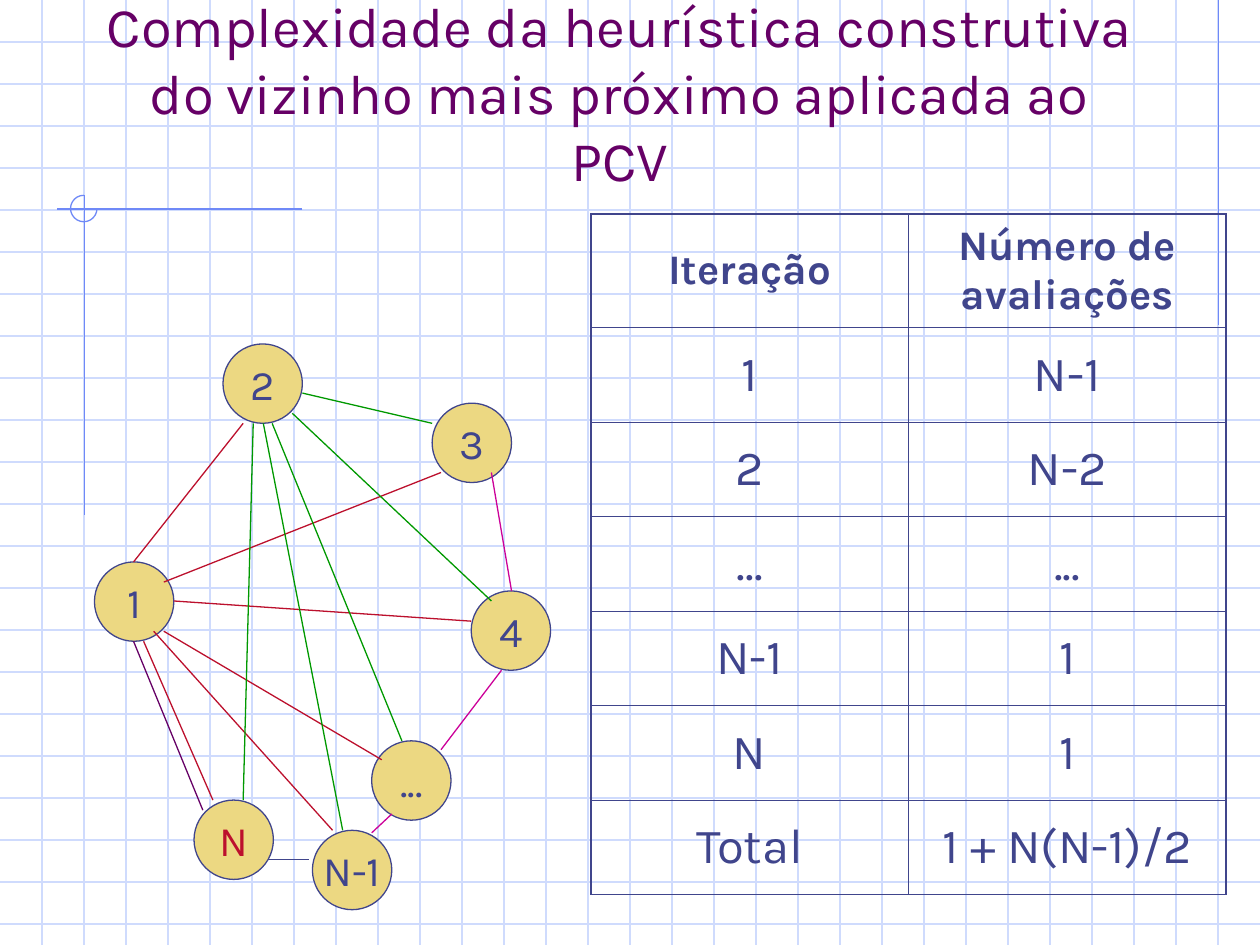
from lxml.etree import SubElement
from pptx import Presentation
from pptx.dml.color import RGBColor
from pptx.enum.shapes import MSO_CONNECTOR, MSO_SHAPE
from pptx.enum.text import MSO_ANCHOR, PP_ALIGN
from pptx.oxml.ns import qn
from pptx.util import Inches, Pt

FONT = "Karla"
INK, PURPLE, RED, GREEN, PINK = "40458C", "660066", "BC102D", "009900", "CC0099"
GRID, ACCENT, GOLD = "CFDBFD", "6F89F7", "ECD882"
WIDTH, HEIGHT = 10, 7.5
CELLS_PER_INCH = 3
NODE_SIZE = 0.63

NODES = [
    ("1", 0.75, 4.46, INK), ("2", 1.77, 2.73, INK), ("3", 3.43, 3.2, INK),
    ("4", 3.74, 4.69, INK), ("...", 2.95, 5.88, INK), ("N", 1.54, 6.35, RED),
    ("N-1", 2.48, 6.59, INK),
]
EDGES = {
    RED: [(1.3, 4.62, 3.5, 3.75), (1.38, 4.77, 3.74, 4.93), (1.3, 5.01, 3.03, 6.03),
          (1.14, 5.09, 1.69, 6.35), (1.06, 4.46, 1.93, 3.36), (2.64, 6.59, 1.22, 5.01)],
    GREEN: [(2.4, 3.12, 3.43, 3.36), (2.32, 3.28, 3.9, 4.77), (2.16, 3.36, 3.19, 5.88),
            (2.01, 3.36, 1.93, 6.35), (2.72, 6.59, 2.09, 3.36)],
    PURPLE: [(1.61, 6.43, 1.06, 5.09)],
    PINK: [(3.9, 3.75, 4.06, 4.69), (3.98, 5.32, 3.5, 5.95), (3.11, 6.46, 2.95, 6.61)],
    INK: [(2.45, 6.82, 2.13, 6.82)],
}
EVALUATIONS = [
    ("Iteração", "Número de avaliações"), ("1", "N-1"), ("2", "N-2"), ("...", "..."),
    ("N-1", "1"), ("N", "1"), ("Total", "1 + N(N-1)/2"),
]


def rgb(color):
    """Turn a hex string into a colour."""
    return RGBColor.from_string(color)


def write(frame, text, size, color, bold=False):
    """Write one centred paragraph into a text frame."""
    paragraph = frame.paragraphs[0]
    paragraph.text = text
    paragraph.alignment = PP_ALIGN.CENTER
    font = paragraph.font
    font.name, font.size, font.bold = FONT, Pt(size), bold
    font.color.rgb = rgb(color)


def add_line(slide, ends, color):
    """Draw a thin straight line between two points."""
    line = slide.shapes.add_connector(MSO_CONNECTOR.STRAIGHT, *map(Inches, ends))
    line.line.color.rgb = rgb(color)
    line.line.width = Pt(0.75)
    SubElement(line._element.spPr, qn("a:effectLst"))


def add_outlined(slide, kind, left, top, size, color):
    """Add a square-boxed preset shape with a thin outline and no fill."""
    shape = slide.shapes.add_shape(kind, *map(Inches, (left, top, size, size)))
    shape.shadow.inherit = False
    shape.fill.background()
    shape.line.color.rgb = rgb(color)
    shape.line.width = Pt(0.75)
    return shape


def add_background(slide):
    """Draw the squared paper and its accent marks."""
    for step in range(1, int(HEIGHT * CELLS_PER_INCH) + 1):
        y = step / CELLS_PER_INCH
        add_line(slide, (0, y, WIDTH, y), GRID)
    for step in range(1, WIDTH * CELLS_PER_INCH):
        x = step / CELLS_PER_INCH
        add_line(slide, (x, 0, x, HEIGHT), GRID)
    for ends in ((9.67, 0, 9.67, 2.58), (2.4, 1.66, 0.45, 1.66), (0.67, 1.55, 0.67, 4.09)):
        add_line(slide, ends, ACCENT)
    arc = add_outlined(slide, MSO_SHAPE.ARC, 0.56, 1.55, 0.21, ACCENT)
    arc.adjustments[0], arc.adjustments[1] = 0, 162


def add_title(slide, text):
    """Add the slide title, resting on the bottom of its box."""
    box = slide.shapes.add_textbox(Inches(0.67), Inches(0.33), Inches(8.5), Inches(1.25))
    box.text_frame.word_wrap = True
    box.text_frame.vertical_anchor = MSO_ANCHOR.BOTTOM
    write(box.text_frame, text, 32, PURPLE)


def add_node(slide, label, left, top, color):
    """Add one labelled city of the graph."""
    node = add_outlined(slide, MSO_SHAPE.OVAL, left, top, NODE_SIZE, INK)
    node.fill.solid()
    node.fill.fore_color.rgb = rgb(GOLD)
    node.text_frame.word_wrap = False
    node.text_frame.vertical_anchor = MSO_ANCHOR.MIDDLE
    write(node.text_frame, label, 24, color)


def set_borders(cell, widths):
    """Give a cell its left, right, top and bottom border widths."""
    properties = cell._tc.get_or_add_tcPr()
    for side, width in zip("LRTB", widths):
        border = SubElement(properties, qn(f"a:ln{side}"), w=str(Pt(width)))
        fill = SubElement(border, qn("a:solidFill"))
        SubElement(fill, qn("a:srgbClr"), val=INK)


def add_evaluations(slide, rows):
    """Add the table of evaluations per iteration."""
    last_row, last_column = len(rows) - 1, len(rows[0]) - 1
    frame = slide.shapes.add_table(len(rows), len(rows[0]), Inches(4.69), Inches(1.7),
                                   Inches(5.04), Inches(5.4))
    table = frame.table
    table.first_row = table.horz_banding = False
    for r, values in enumerate(rows):
        table.rows[r].height = Inches(0.75 if r else 0.9)
        for c, value in enumerate(values):
            cell = table.cell(r, c)
            outer = (c == 0, c == last_column, r == 0, r == last_row)
            set_borders(cell, [1.08 if edge else 0.45 for edge in outer])
            cell.fill.background()
            cell.vertical_anchor = MSO_ANCHOR.MIDDLE
            write(cell.text_frame, value, 28 if r else 24, INK, bold=r == 0)


def main():
    """Build the slide and save it."""
    deck = Presentation()
    deck.slide_width, deck.slide_height = Inches(WIDTH), Inches(HEIGHT)
    slide = deck.slides.add_slide(deck.slide_layouts[6])
    add_background(slide)
    add_title(slide, "Complexidade da heurística construtiva do vizinho mais próximo aplicada ao PCV")
    for node in NODES:
        add_node(slide, *node)
    add_evaluations(slide, EVALUATIONS)
    for color, edges in EDGES.items():
        for ends in edges:
            add_line(slide, ends, color)
    deck.save("out.pptx")


if __name__ == "__main__":
    main()
